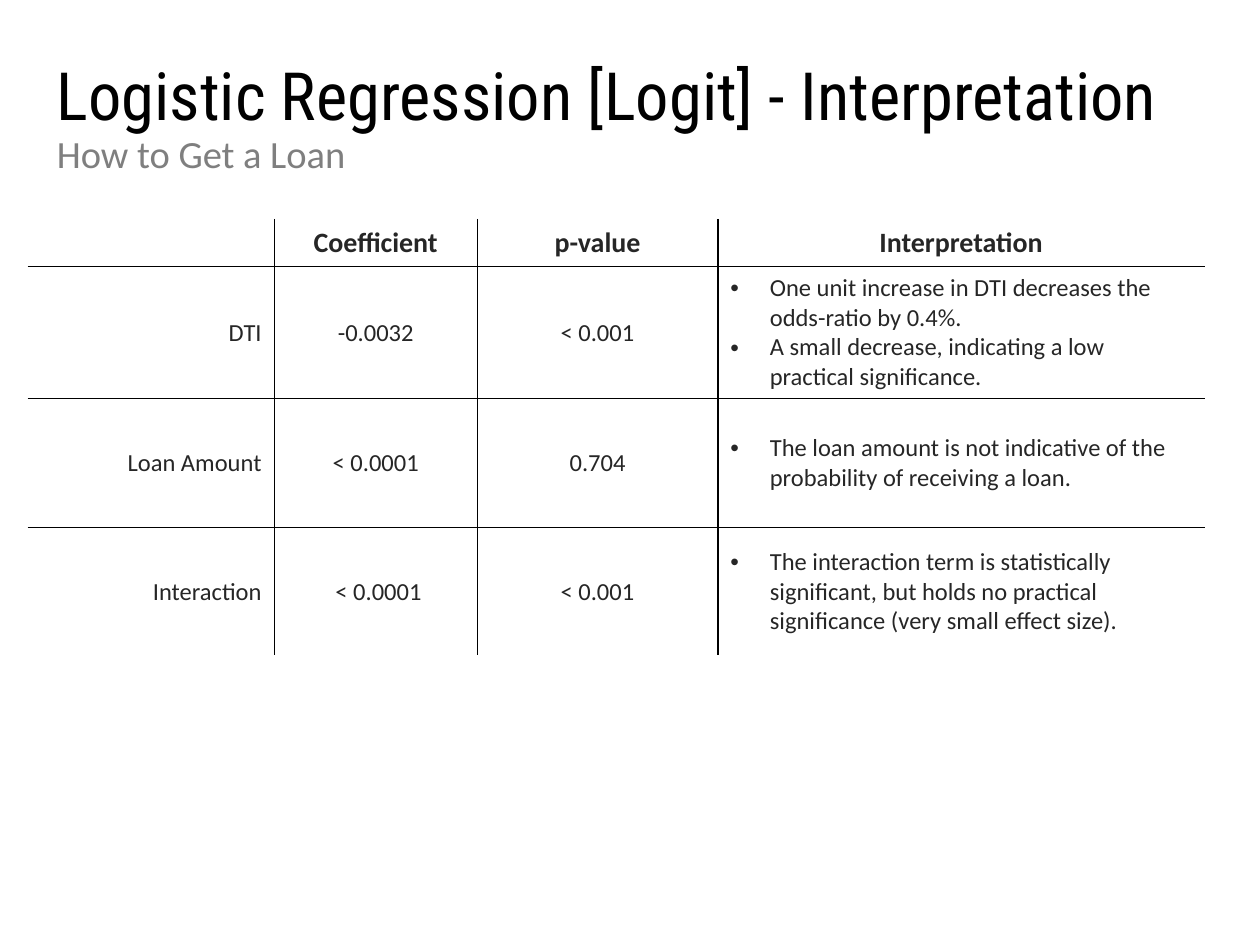
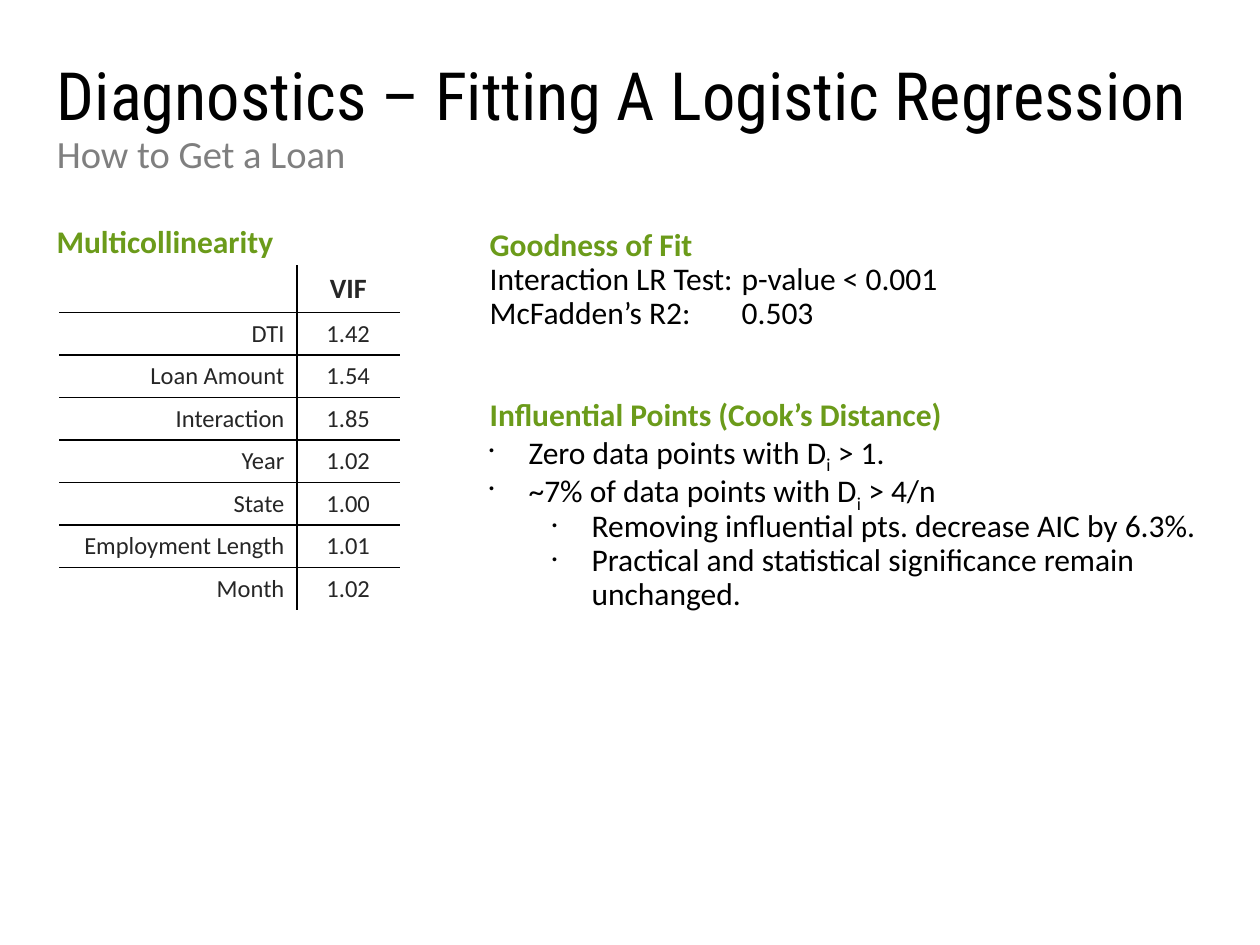
from lxml.etree import SubElement
from pptx import Presentation
from pptx.dml.color import RGBColor
from pptx.enum.text import MSO_ANCHOR as Anchor, MSO_AUTO_SIZE as AutoSize, PP_ALIGN as Align
from pptx.oxml.ns import qn
from pptx.util import Pt

BLACK = RGBColor(0x00, 0x00, 0x00)
WHITE = RGBColor(0xFF, 0xFF, 0xFF)
GREY = RGBColor(0x7F, 0x7F, 0x7F)
CHARCOAL = RGBColor(0x26, 0x26, 0x26)
GREEN = RGBColor(0x6B, 0x9B, 0x1A)
TITLE_FONT = "Roboto Condensed"
BODY_FONT = "Calibri"
HANGING = 22.5
TEXT_INDENT = 8.75
TAB_STOP = 287
SUBTITLE = "How to Get a Loan"


class SlideBuilder:
    def __init__(self, deck):
        self.deck = deck
        self.page = None

    def start_page(self, title):
        self.page = self.deck.slides.add_slide(self.deck.slide_layouts[5])
        heading = self.page.shapes.title
        heading.left, heading.top, heading.width, heading.height = map(Pt, (32.5, 32.5, 655, 84))
        self.fill_heading(heading, title, 38, BLACK, TITLE_FONT)
        subtitle = self.page.shapes.add_textbox(Pt(32.5), Pt(74), Pt(655), Pt(42.5))
        self.fill_heading(subtitle, SUBTITLE, 22, GREY, BODY_FONT)

    def fill_heading(self, box, text, size, color, font):
        frame = box.text_frame
        frame.text = text
        frame.word_wrap = True
        frame.auto_size = AutoSize.NONE
        frame.vertical_anchor = Anchor.TOP
        frame.margin_left = 0
        para = frame.paragraphs[0]
        para.alignment = Align.LEFT
        para.line_spacing = 0.9
        self.style_runs(para, size, color, font=font)

    def style_runs(self, para, size, color, bold=False, font=BODY_FONT):
        for span in para.runs:
            span.font.name = font
            span.font.size = Pt(size)
            span.font.bold = bold
            span.font.color.rgb = color

    def indent(self, para, left, bullet_percent=None):
        """Indent a paragraph; a bullet size also gives it a hanging bullet."""
        properties = para._p.get_or_add_pPr()
        properties.set("marL", str(Pt(left)))
        properties.set("indent", str(-Pt(HANGING) if bullet_percent else 0))
        if bullet_percent:
            SubElement(properties, qn("a:buSzPct"), val=str(bullet_percent * 1000))
            SubElement(properties, qn("a:buFont"), typeface="Arial")
            SubElement(properties, qn("a:buChar"), char="•")

    def add_section(self, left, top, width, heading, lines=()):
        """Add a green heading and (level, text) lines; level 0 has no bullet, |x| is a subscript."""
        box = self.page.shapes.add_textbox(Pt(left), Pt(top), Pt(width), Pt(51))
        frame = box.text_frame
        frame.word_wrap = True
        para = frame.paragraphs[0]
        para.text = heading
        para.line_spacing = 0.9
        self.indent(para, TEXT_INDENT)
        self.style_runs(para, 18, GREEN, bold=True)
        for level, text in lines:
            para = frame.add_paragraph()
            para.line_spacing = 0.9
            if level:
                para.level = level - 1
                self.indent(para, 31 + 36 * (level - 1), bullet_percent=45)
            else:
                self.indent(para, TEXT_INDENT)
                tabs = SubElement(para._p.get_or_add_pPr(), qn("a:tabLst"))
                SubElement(tabs, qn("a:tab"), pos=str(Pt(TAB_STOP)), algn="l")
            for index, piece in enumerate(text.split("|")):
                span = para.add_run()
                span.text = piece
                if index % 2:
                    span._r.get_or_add_rPr().set("baseline", "-25000")
            self.style_runs(para, 18, BLACK)

    def add_grid(self, left, top, widths, heights, rows):
        """Add a table with black inner rules; a fourth column holds bullets."""
        last_row, last_column = len(rows) - 1, len(widths) - 1
        frame = self.page.shapes.add_table(
            len(rows), len(widths), Pt(left), Pt(top), Pt(sum(widths)), Pt(sum(heights)))
        table = frame.table
        table.first_row = table.horz_banding = False
        for column, width in zip(table.columns, widths):
            column.width = Pt(width)
        for r, (texts, height) in enumerate(zip(rows, heights)):
            table.rows[r].height = Pt(height)
            for c, text in enumerate(texts):
                cell = table.cell(r, c)
                self.fill_cell(cell, text, c, is_header=r == 0)
                self.rule_cell(cell, {"L": c > 0, "R": c < last_column,
                                      "T": r > 0, "B": r < last_row})
                cell.fill.background()

    def fill_cell(self, cell, text, column, is_header):
        size = 16 if is_header else 14
        cell.text = text
        cell.vertical_anchor = Anchor.BOTTOM if is_header else Anchor.MIDDLE
        for para in cell.text_frame.paragraphs:
            if is_header:
                para.alignment = Align.CENTER
            else:
                para.alignment = (Align.RIGHT, Align.CENTER, Align.CENTER, Align.LEFT)[column]
                if column == 3:
                    self.indent(para, HANGING, bullet_percent=100)
            self.style_runs(para, size, CHARCOAL, bold=is_header)
            para._p.get_or_add_endParaRPr().set("sz", str(size * 100))

    def rule_cell(self, cell, inner_sides):
        properties = cell._tc.get_or_add_tcPr()
        for side, is_inner in inner_sides.items():
            line = SubElement(properties, qn(f"a:ln{side}"), w=str(Pt(1)))
            fill = SubElement(line, qn("a:solidFill"))
            SubElement(fill, qn("a:srgbClr"), val=str(BLACK if is_inner else WHITE))


def add_interpretation(builder):
    builder.start_page("Logistic Regression [Logit] - Interpretation")
    builder.add_grid(16.25, 125.5, (140.5, 116, 137.5, 278), (26.7, 75.6, 73.5, 73.5), [
        ("", "Coefficient", "p-value", "Interpretation"),
        ("DTI", "-0.0032", "< 0.001",
         "One unit increase in DTI decreases the odds-ratio by 0.4%.\n"
         "A small decrease, indicating a low practical significance."),
        ("Loan Amount", "< 0.0001", "0.704",
         "The loan amount is not indicative of the probability of receiving a loan."),
        ("Interaction", " < 0.0001", "< 0.001",
         "The interaction term is statistically significant, but holds no practical "
         "significance (very small effect size)."),
    ])


def add_diagnostics(builder):
    builder.start_page("Diagnostics – Fitting A Logistic Regression")
    builder.add_section(16.5, 126, 226, "Multicollinearity")
    inflation = [("", "VIF"), ("DTI", "1.42"), ("Loan Amount", "1.54"), ("Interaction", "1.85"),
                 ("Year", "1.02"), ("State", "1.00"), ("Employment Length", "1.01"),
                 ("Month", "1.02")]
    builder.add_grid(34.25, 152, (135.5, 58.5), [26.7] + [24.3] * 7, inflation)
    builder.add_section(264, 127.5, 443, "Goodness of Fit", [
        (0, "Interaction LR Test:\tp-value < 0.001"),
        (0, "McFadden’s R2:\t0.503"),
    ])
    builder.add_section(264, 224.5, 443, "Influential Points (Cook’s Distance)", [
        (1, "Zero data points with D|i| > 1."),
        (1, "~7% of data points with D|i| > 4/n"),
        (2, "Removing influential pts. decrease AIC by 6.3%."),
        (2, "Practical and statistical significance remain unchanged."),
    ])


def main():
    deck = Presentation()
    deck.slide_width, deck.slide_height = Pt(720), Pt(540)
    builder = SlideBuilder(deck)
    add_interpretation(builder)
    add_diagnostics(builder)
    deck.save("out.pptx")


if __name__ == "__main__":
    main()
